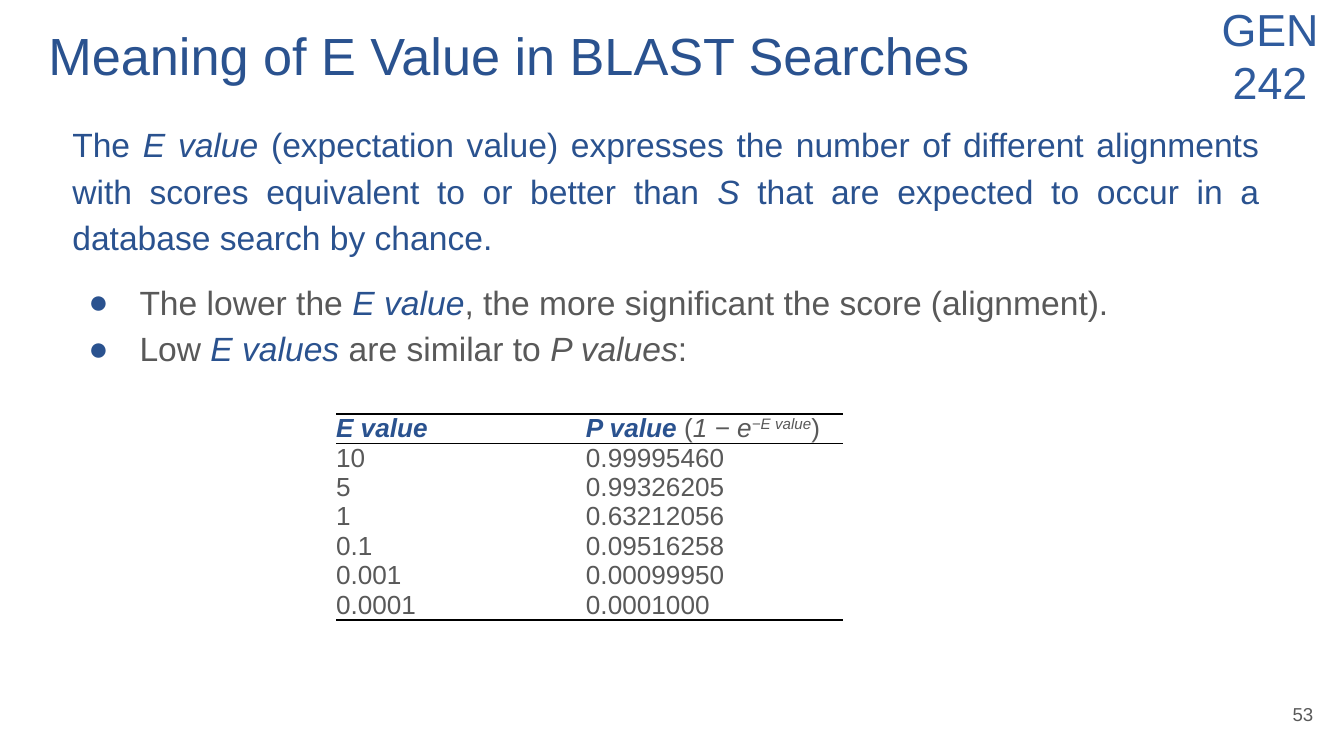
import dataclasses
import typing

import lxml.etree
import pptx
import pptx.dml.color
import pptx.enum.text
import pptx.oxml.ns
import pptx.util

Inches = pptx.util.Inches
Pt = pptx.util.Pt
qn = pptx.oxml.ns.qn
ALIGN = pptx.enum.text.PP_ALIGN
ANCHOR = pptx.enum.text.MSO_ANCHOR

FONT = "Arial"
COLORS = {"navy": "2A528F", "blue": "2F5B9D", "gray": "595959", "black": "000000"}


@dataclasses.dataclass
class Run:
    text: str
    color: str = "gray"
    bold: bool = False
    italic: bool = False
    raised: bool = False


@dataclasses.dataclass
class Para:
    runs: list[Run]
    size: float
    align: typing.Any = ALIGN.LEFT
    spacing: float = 1.0
    before: float = 0
    bullet: bool = False


@dataclasses.dataclass
class Box:
    left: float
    top: float
    width: float
    height: float
    paras: list[Para]
    anchor: typing.Any = ANCHOR.TOP


def add_bullet(para: typing.Any) -> None:
    props = para._p.get_or_add_pPr()
    props.set("marL", str(Inches(0.5)))
    props.set("indent", str(Inches(-0.38)))
    tint = lxml.etree.SubElement(props, qn("a:buClr"))
    lxml.etree.SubElement(tint, qn("a:srgbClr"), val=COLORS["navy"])
    lxml.etree.SubElement(props, qn("a:buFont"), typeface=FONT)
    lxml.etree.SubElement(props, qn("a:buChar"), char="●")


def fill_text(frame: typing.Any, paras: list[Para]) -> None:
    for index, item in enumerate(paras):
        para = frame.add_paragraph() if index else frame.paragraphs[0]
        para.alignment = item.align
        para.line_spacing = item.spacing
        para.space_before = Pt(item.before)
        if item.bullet:
            add_bullet(para)
        para.font.name = FONT
        para.font.size = Pt(item.size)
        for part in item.runs:
            run = para.add_run()
            run.text = part.text
            run.font.bold = part.bold
            run.font.italic = part.italic
            run.font.color.rgb = pptx.dml.color.RGBColor.from_string(COLORS[part.color])
            if part.raised:
                run._r.get_or_add_rPr().set("baseline", "30000")


def place_text(shape: typing.Any, box: Box) -> None:
    shape.left, shape.top = Inches(box.left), Inches(box.top)
    shape.width, shape.height = Inches(box.width), Inches(box.height)
    frame = shape.text_frame
    frame.word_wrap = True
    frame.auto_size = pptx.enum.text.MSO_AUTO_SIZE.NONE
    frame.vertical_anchor = box.anchor
    frame.margin_left = frame.margin_right = Inches(0.1)
    frame.margin_top = frame.margin_bottom = Inches(0.1)
    fill_text(frame, box.paras)


def set_edges(cell: typing.Any, ruled: set[str]) -> None:
    props = cell._tc.get_or_add_tcPr()
    for side in "LRTB":
        line = lxml.etree.SubElement(props, qn(f"a:ln{side}"), w=str(Pt(1)))
        if side in ruled:
            fill = lxml.etree.SubElement(line, qn("a:solidFill"))
            lxml.etree.SubElement(fill, qn("a:srgbClr"), val=COLORS["black"])
        else:
            lxml.etree.SubElement(line, qn("a:noFill"))


def add_values(slide: typing.Any, rows: list[list[list[Run]]]) -> None:
    widths = [1.86, 1.91]
    height = 0.1
    table = slide.shapes.add_table(
        len(rows), len(widths), Inches(2.5), Inches(3.08),
        Inches(sum(widths)), Inches(height * len(rows)),
    ).table
    table.first_row = table.horz_banding = False
    for column, width in zip(table.columns, widths):
        column.width = Inches(width)
    for index, row in enumerate(rows):
        table.rows[index].height = Inches(height)
        ruled = {0: {"T", "B"}, 1: {"T"}, len(rows) - 1: {"B"}}.get(index, set())
        for col, runs in enumerate(row):
            cell = table.cell(index, col)
            cell.margin_left = cell.margin_right = 0
            cell.margin_top = cell.margin_bottom = 0
            cell.vertical_anchor = ANCHOR.MIDDLE
            set_edges(cell, ruled)
            cell.fill.background()
            fill_text(cell.text_frame, [Para(runs, 14)])


TITLE = Box(0.26, 0.07, 9.32, 0.63, [
    Para([Run("Meaning of E Value in BLAST Searches", "navy")], 28),
])
COURSE = Box(8.82, -0.09, 1.26, 0.98, [
    Para([Run(word, "blue")], 24, ALIGN.CENTER) for word in ("GEN", "242")
])
NUMBER = Box(9.27, 5.1, 0.6, 0.43, [Para([Run("53")], 10, ALIGN.RIGHT)], ANCHOR.MIDDLE)
BODY = Box(0.44, 0.78, 9.03, 1.99, [
    Para([
        Run("The ", "navy"),
        Run("E value", "navy", italic=True),
        Run(" (expectation value) expresses the number of different alignments "
            "with scores equivalent to or better than ", "navy"),
        Run("S", "navy", italic=True),
        Run(" that are expected to occur in a database search by chance.", "navy"),
    ], 18, ALIGN.JUSTIFY, 1.15),
    Para([
        Run("The lower the "),
        Run("E value", "navy", italic=True),
        Run(", the more significant the score (alignment)."),
    ], 18, ALIGN.JUSTIFY, 1.15, 10, True),
    Para([
        Run("Low "),
        Run("E values", "navy", italic=True),
        Run(" are similar to "),
        Run("P values", italic=True),
        Run(":"),
    ], 18, ALIGN.JUSTIFY, 1.15, 0, True),
])
HEADER = [
    [Run("E value", "navy", True, True)],
    [
        Run("P value ", "navy", True, True),
        Run("("),
        Run("1 − e", italic=True),
        Run("−E value", italic=True, raised=True),
        Run(")"),
    ],
]
VALUES = [
    ("10", "0.99995460"),
    ("5", "0.99326205"),
    ("1", "0.63212056"),
    ("0.1", "0.09516258"),
    ("0.001", "0.00099950"),
    ("0.0001", "0.0001000"),
]


def main() -> None:
    deck = pptx.Presentation()
    deck.slide_width = Inches(10)
    deck.slide_height = deck.slide_width * 9 // 16
    slide = deck.slides.add_slide(deck.slide_layouts[5])
    place_text(slide.shapes.title, TITLE)
    for box in (COURSE, NUMBER, BODY):
        place_text(slide.shapes.add_textbox(0, 0, 0, 0), box)
    add_values(slide, [HEADER] + [[[Run(text)] for text in row] for row in VALUES])
    deck.save("out.pptx")


if __name__ == "__main__":
    main()
